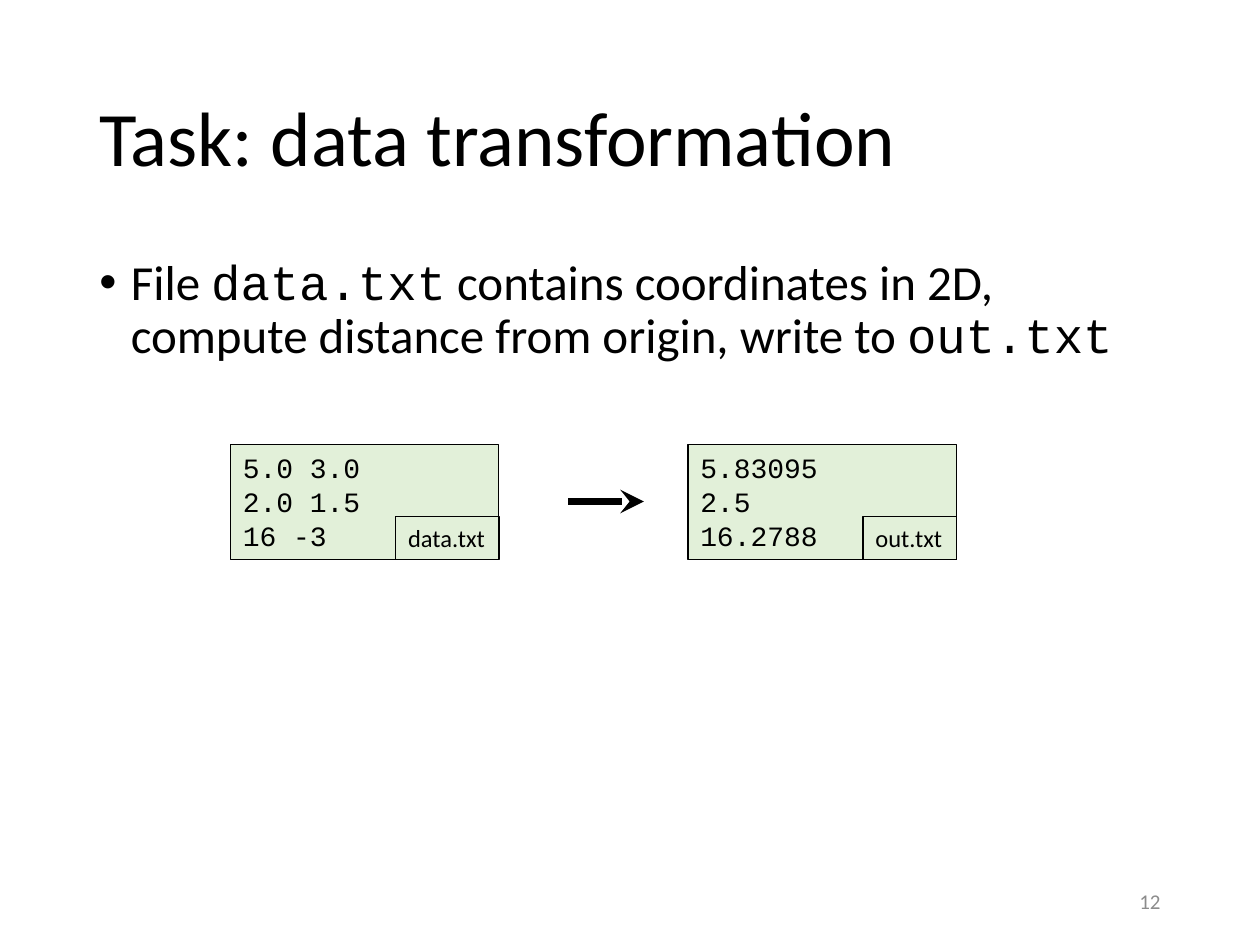
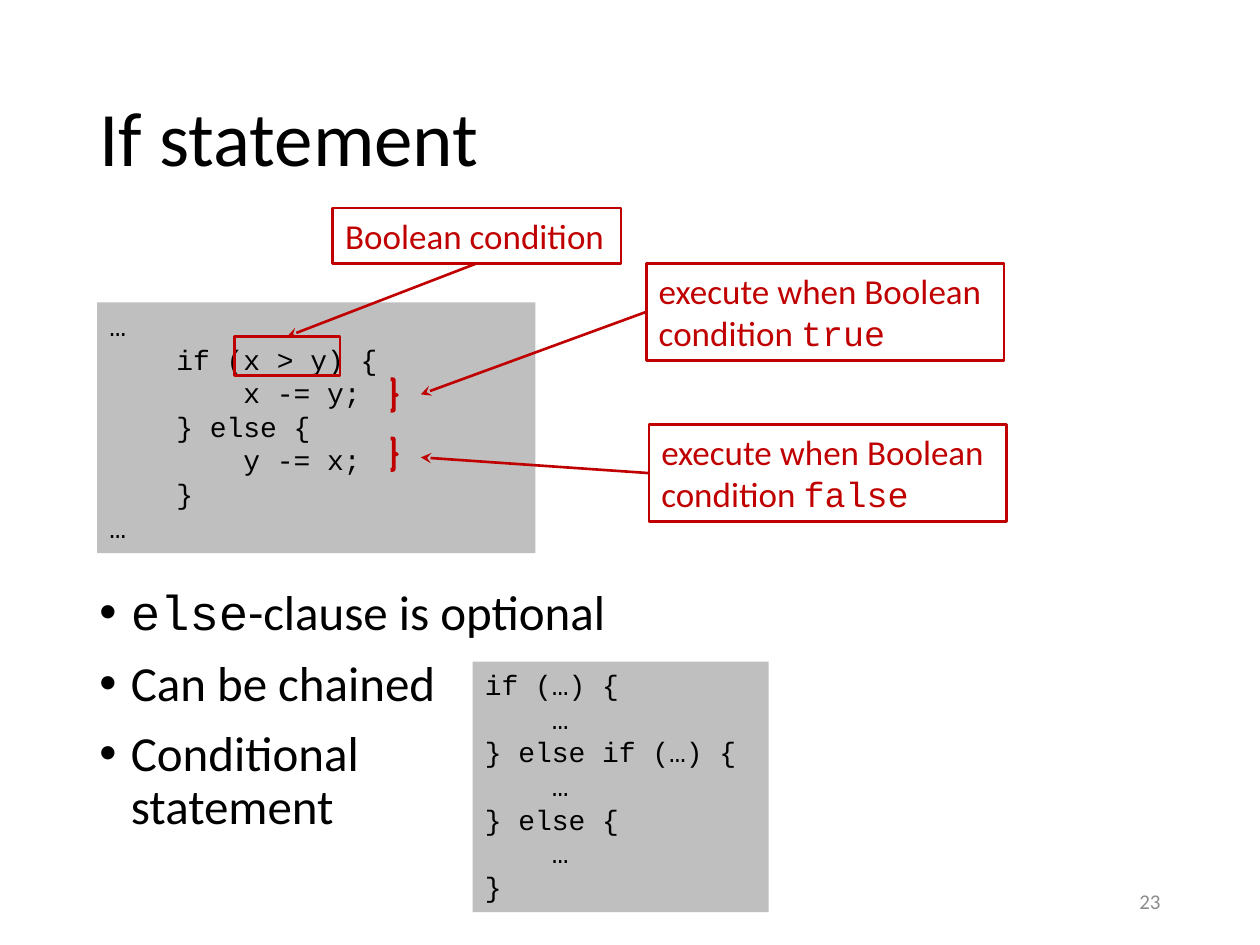
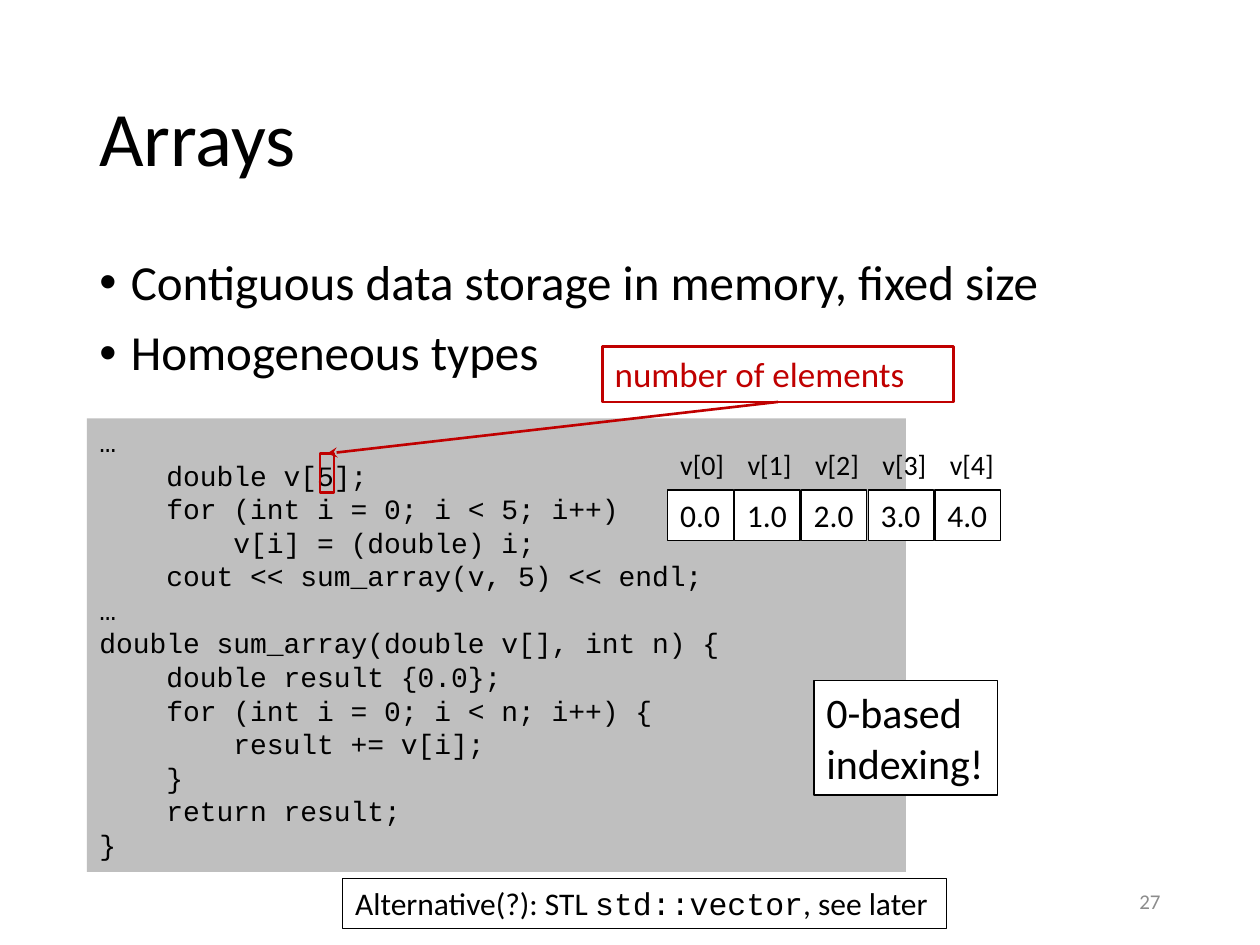
from lxml import etree
from pptx import Presentation
from pptx.dml import color
from pptx.enum import shapes, text
from pptx.oxml import ns
from pptx.util import Inches, Pt

BLACK, WHITE, RED = "000000", "FFFFFF", "C00000"
GREY, PALE, FAINT = "BFBFBF", "E2F0D9", "8C8C8C"
SANS, MONO = "Calibri", "Courier New"
TITLE = dict(size=44, anchor=text.MSO_ANCHOR.MIDDLE, para=dict(line_spacing=0.9))
NUMBER = dict(size=12, ink=FAINT, anchor=text.MSO_ANCHOR.MIDDLE,
              para=dict(alignment=text.PP_ALIGN.RIGHT))
BODY = dict(size=28, bullet=True, para=dict(line_spacing=0.9))
CODE = dict(size=16, font=MONO, fill=GREY, grow=True)
NOTE = dict(size=20, ink=RED, fill=WHITE, line=(RED, 1.5), grow=True)
TAG = dict(line=(BLACK, 0.75), wrap=False, grow=True)

SWAP = """…
    if (x > y) {
        x -= y;
    } else {
        y -= x;
    }
…"""
CHAIN = """if (…) {
    …
} else if (…) {
    …
} else {
    …
}"""
SUM = """…
    double v[5];
    for (int i = 0; i < 5; i++)
        v[i] = (double) i;
    cout << sum_array(v, 5) << endl;
…
double sum_array(double v[], int n) {
    double result {0.0};
    for (int i = 0; i < n; i++) {
        result += v[i];
    }
    return result;
}"""


def rgb(code):
    return color.RGBColor.from_string(code)


def sub(parent, tag, **attrs):
    return etree.SubElement(parent, ns.qn(tag), attrs)


def paint(shape, fill=None, line=None):
    shape.shadow.inherit = False
    if fill:
        shape.fill.solid()
        shape.fill.fore_color.rgb = rgb(fill)
    else:
        shape.fill.background()
    if line:
        shape.line.color.rgb, shape.line.width = rgb(line[0]), Pt(line[1])
    else:
        shape.line.fill.background()


def mark(slide, at, line, kind=shapes.MSO_SHAPE.RECTANGLE):
    """Draw an unfilled outline with no text."""
    shape = slide.shapes.add_shape(kind, *map(Inches, at))
    paint(shape, line=line)


def write(par, line, size, font, ink):
    """Fill a paragraph; words between backticks are set in the code font."""
    for i, part in enumerate(line.split("`")):
        for j, piece in enumerate(part.split("\v")):
            if j:
                par.add_line_break()
            if piece:
                run = par.add_run()
                run.text = piece
                look = dict(size=Pt(size), name=MONO if i % 2 else font)
                for key, value in look.items():
                    setattr(run.font, key, value)
                run.font.color.rgb = rgb(ink)


def put(slide, at, words, size=18, font=SANS, ink=BLACK, fill=None, line=None,
        wrap=True, grow=False, anchor=text.MSO_ANCHOR.TOP, bullet=False, para=None):
    """Place text, one paragraph a line, in a box that may have a fill and a line."""
    spot = [Inches(n) for n in at]
    if fill or line:
        shape = slide.shapes.add_shape(shapes.MSO_SHAPE.RECTANGLE, *spot)
        paint(shape, fill, line)
    else:
        shape = slide.shapes.add_textbox(*spot)
    fit = text.MSO_AUTO_SIZE
    frame = shape.text_frame
    look = dict(word_wrap=wrap, vertical_anchor=anchor,
                auto_size=fit.SHAPE_TO_FIT_TEXT if grow else fit.NONE)
    for key, value in look.items():
        setattr(frame, key, value)
    for i, row in enumerate(words.split("\n")):
        par = frame.add_paragraph() if i else frame.paragraphs[0]
        if bullet:
            props = par._p.get_or_add_pPr()
            props.set("marL", str(Inches(0.25)))
            props.set("indent", str(Inches(-0.25)))
            sub(props, "a:buFont", typeface="Arial")
            sub(props, "a:buChar", char="•")
            par.space_before = Pt(10 if i else 0)
        for key, value in {"alignment": text.PP_ALIGN.LEFT, **(para or {})}.items():
            setattr(par, key, value)
        write(par, row, size, font, ink)


def arrow(slide, start, end, ink=RED, width=1.5):
    link = slide.shapes.add_connector(
        shapes.MSO_CONNECTOR.STRAIGHT, *map(Inches, start + end))
    link.line.color.rgb, link.line.width = rgb(ink), Pt(width)
    sub(link.line._get_or_add_ln(), "a:tailEnd", type="stealth")
    sub(link._element.spPr, "a:effectLst")


def page(deck, title, number, body, top=2):
    slide = deck.slides.add_slide(deck.slide_layouts[6])
    put(slide, (0.69, 0.4, 8.62, 1.45), title, **TITLE)
    put(slide, (0.69, top, 8.62, 6.76 - top), body, **BODY)
    put(slide, (7.06, 6.95, 2.25, 0.4), number, **NUMBER)
    return slide


def sheet(slide, left, top, words, name, width):
    """Draw a file's content with its name in the lower right corner."""
    wide, high, tall = 2.13, 0.91, 0.34
    put(slide, (left, top, wide, high), words, size=16, font=MONO,
        fill=PALE, line=(BLACK, 0.75), grow=True)
    put(slide, (left + wide - width, top + high - tall, width, tall), name,
        size=14, **TAG)


def branch(slide, left, top, brace, word):
    """Explain one branch of the code, which a brace marks."""
    x, y, aim = brace
    mark(slide, (x, y, 0.05, 0.25), (RED, 2.25), shapes.MSO_SHAPE.RIGHT_BRACE)
    put(slide, (left, top, 2.84, 0.77),
        f"execute when Boolean condition `{word}`", **NOTE)
    arrow(slide, (left, top + 0.385), (x + 0.24, aim))


def callout(slide, box, words, target):
    """Label a framed piece of code and point at the frame."""
    put(slide, box, words, **NOTE)
    mark(slide, target, (RED, 1.5))
    left, top, wide, high = box
    arrow(slide, (left + wide / 2, top + high), (target[0] + target[2] / 2, target[1]))


def cells(slide, left, top, count):
    """Draw array elements in a row under their names."""
    for i in range(count):
        put(slide, (left + 0.53 * i, top + 0.39, 0.52, 0.4), f"{i}.0",
            fill=WHITE, **TAG)
    for i in range(count):
        put(slide, (left + 0.535 * i, top, 0.55, 0.37), f"v[{i}]",
            size=16, wrap=False, grow=True)


def task(deck):
    slide = page(deck, "Task: data transformation", "12",
                 "File `data.txt` contains coordinates in 2D, "
                 "compute distance from origin, write to `out.txt`")
    sheet(slide, 1.83, 3.53, "5.0 3.0\n2.0 1.5\n16 -3", "data.txt", 0.82)
    sheet(slide, 5.46, 3.53, "5.83095\n2.5\n16.2788", "out.txt", 0.74)
    arrow(slide, (4.51, 3.98), (5.11, 3.98), BLACK, 4.5)


def choice(deck):
    slide = page(deck, "If statement", "23",
                 "`else`-clause is optional\nCan be chained\nConditional\vstatement",
                 top=4.62)
    put(slide, (0.77, 2.4, 3.48, 1.99), SWAP, **CODE)
    callout(slide, (2.64, 1.65, 2.29, 0.44), "Boolean condition",
            (1.86, 2.67, 0.84, 0.31))
    branch(slide, 5.13, 2.09, (3.1, 3.01, 3.13), "true")
    branch(slide, 5.15, 3.37, (3.1, 3.48, 3.63), "false")
    put(slide, (3.75, 5.25, 2.35, 1.99), CHAIN, **CODE)


def arrays(deck):
    slide = page(deck, "Arrays", "27",
                 "Contiguous data storage in memory, fixed size\nHomogeneous types")
    put(slide, (0.69, 3.32, 6.5, 3.6), SUM, **CODE)
    callout(slide, (4.78, 2.75, 2.79, 0.44), "number of elements",
            (2.54, 3.6, 0.11, 0.31))
    cells(slide, 5.3, 3.5, 5)
    put(slide, (6.46, 5.4, 1.46, 0.91), "0-based\nindexing!", size=24,
        fill=WHITE, **TAG)
    put(slide, (2.72, 6.97, 4.79, 0.4),
        "Alternative(?): STL `std::vector`, see later", **TAG)


def main():
    deck = Presentation()
    deck.slide_width, deck.slide_height = Inches(10), Inches(7.5)
    for build in (task, choice, arrays):
        build(deck)
    deck.save("out.pptx")


if __name__ == "__main__":
    main()
